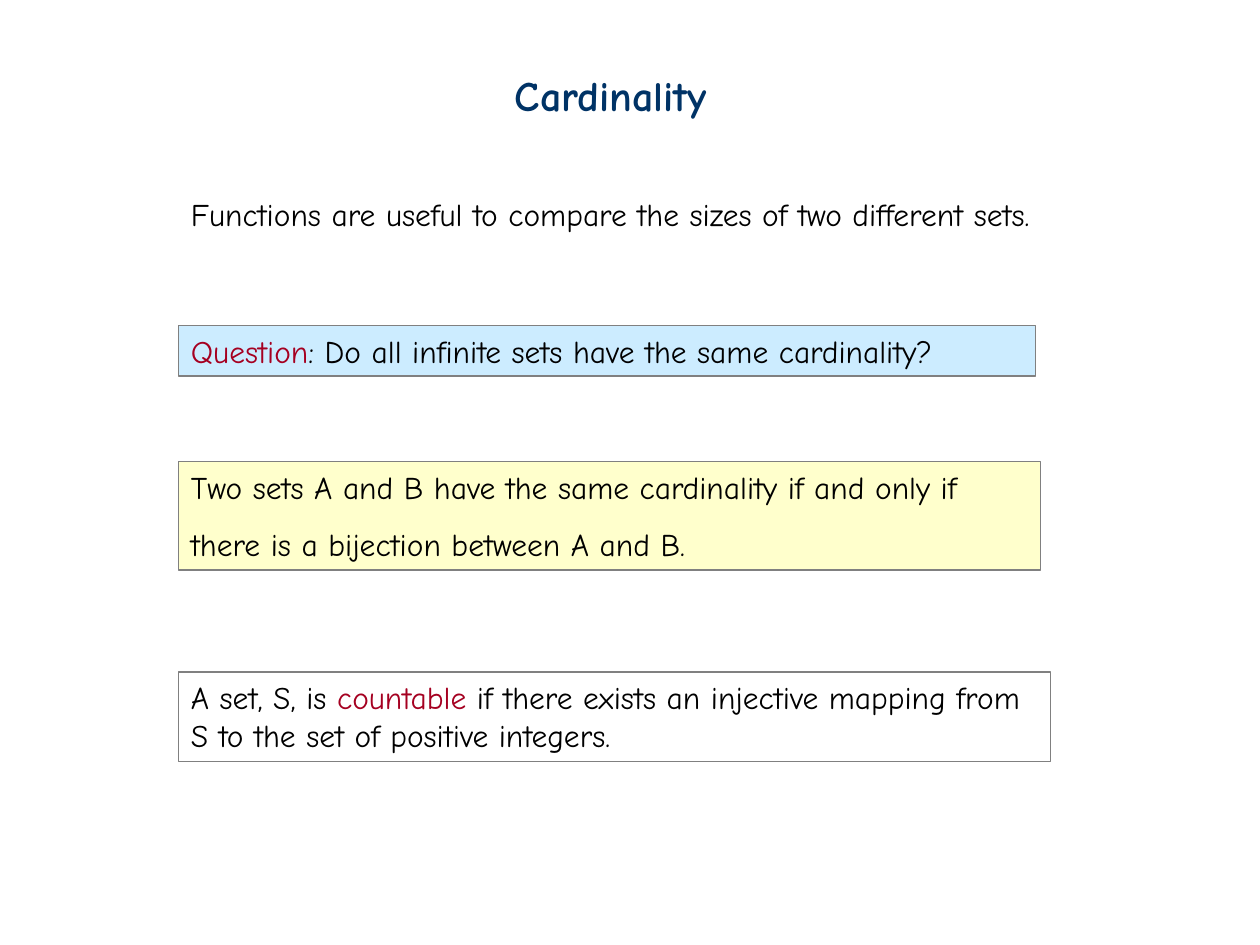
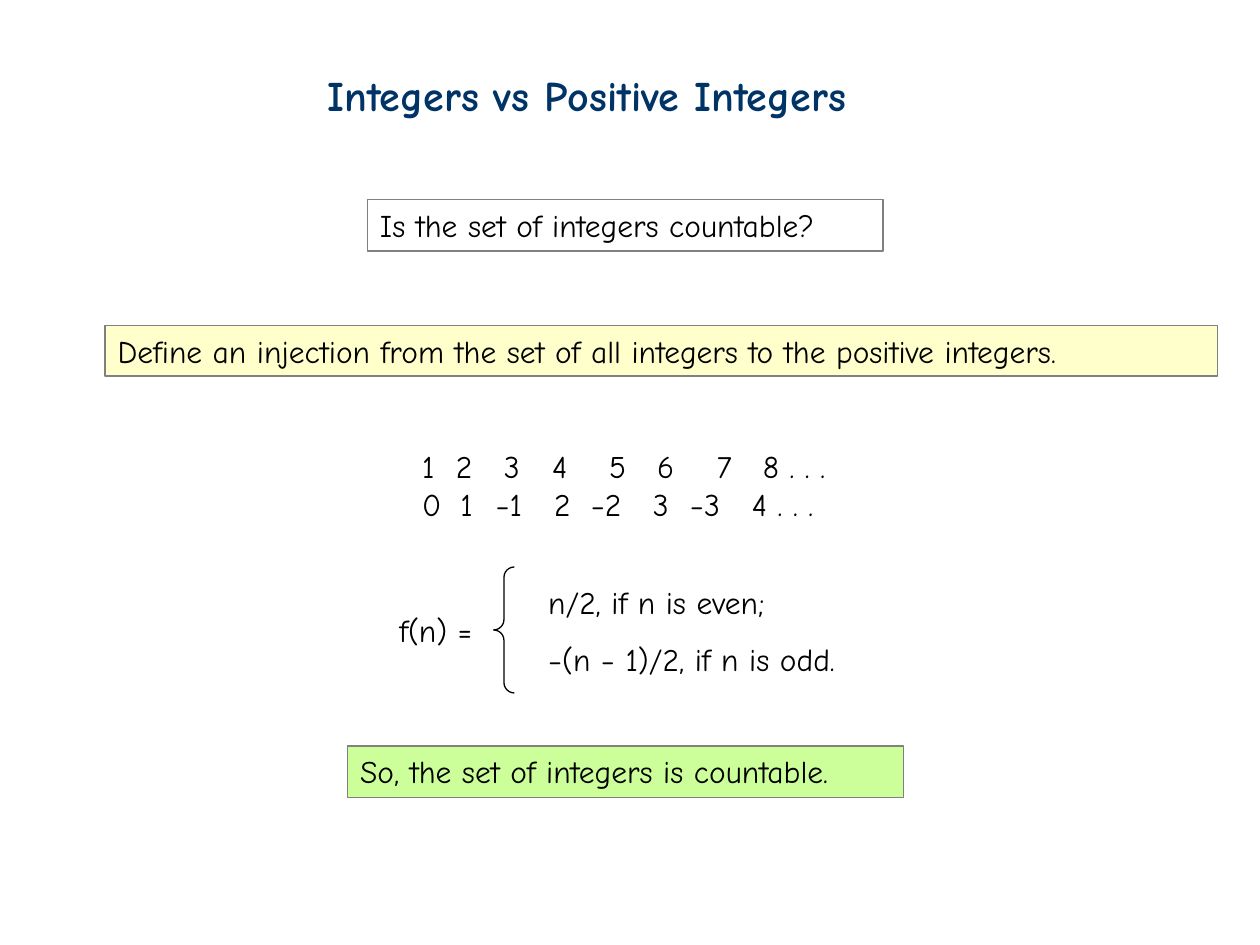
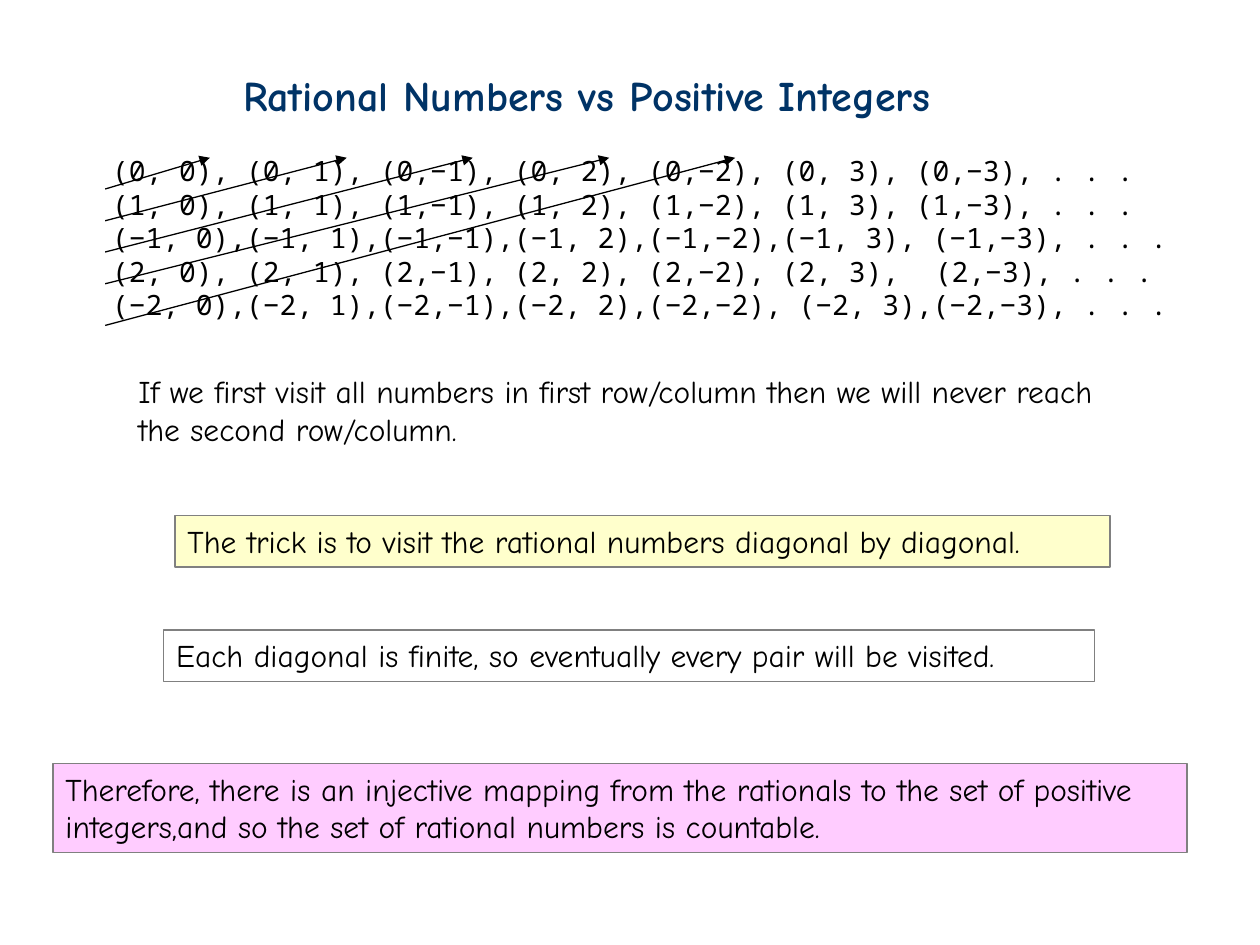
from dataclasses import dataclass
from typing import NamedTuple

from lxml import etree
from pptx import Presentation
from pptx import util as u
from pptx.dml import color as c
from pptx.enum import dml, shapes, text
from pptx.oxml import ns


@dataclass(frozen=True)
class Theme:
    title: str = "003366"
    ink: str = "000000"
    accent: str = "A50021"
    border: str = "808080"
    blue: str = "CCECFF"
    yellow: str = "FFFFCC"
    green: str = "CCFF99"
    pink: str = "FFCCFF"
    white: str = "FFFFFF"
    body_font: str = "Comic Neue"
    grid_font: str = "Noto Sans Mono"
    title_size: int = 24
    body_size: int = 18
    grid_size: int = 16
    line_width: float = 0.75


THEME = Theme()


class Line(NamedTuple):
    text: str
    accent: str = ""
    spacing: float | None = None
    tabs: tuple[float, ...] = ()


@dataclass(frozen=True)
class Box:
    left: float
    top: float
    width: float
    height: float
    lines: tuple[Line, ...]
    framed: bool = False
    fill: str | None = None
    font: str = THEME.body_font
    size: int = THEME.body_size
    color: str = THEME.ink
    bold: bool = False


class Arrow(NamedTuple):
    start_y: float
    end_x: float


@dataclass(frozen=True)
class Page:
    title: str
    title_left: float
    title_width: float
    boxes: tuple[Box, ...]


ARROW_START_X = 2.12
ARROW_END_Y = 3.18
DIAGONALS = (
    Arrow(3.81, 4.23),
    Arrow(4.45, 6.99),
    Arrow(5.08, 9.53),
    Arrow(5.72, 12.28),
    Arrow(6.56, 14.82),
)

CARDINALITY = Page("Cardinality", 10.13, 4.9, (
    Box(3.6, 3.81, 19.61, 1.02, (
        Line("Functions are useful to compare the sizes of two different sets."),)),
    Box(3.6, 6.56, 17.28, 1.02, (
        Line("Question: Do all infinite sets have the same cardinality?", "Question"),),
        framed=True, fill=THEME.blue),
    Box(3.6, 9.31, 17.37, 2.18, (
        Line("Two sets A and B have the same cardinality if and only if"),
        Line("there is a bijection between A and B.", spacing=1.5)),
        framed=True, fill=THEME.yellow),
    Box(3.6, 13.55, 17.58, 1.8, (
        Line("A set, S, is countable if there exists an injective mapping from "
             "S to the set of positive integers.", "countable"),), framed=True),
))

INTEGERS = Page("Integers vs Positive Integers", 6.35, 12.52, (
    Box(2.12, 6.56, 22.43, 1.02, (
        Line("Define an injection from the set of all integers to the positive integers."),),
        framed=True, fill=THEME.yellow),
    Box(7.41, 4.02, 10.39, 1.04, (
        Line("Is the set of integers countable?"),), framed=True),
    Box(8.26, 8.89, 8.99, 1.78, (
        Line("1\t2\t3\t4\t5\t6\t7\t8 . . .",
             tabs=(0.68, 1.65, 2.62, 3.77, 4.74, 5.94, 6.87)),
        Line("0\t1\t−1\t2\t−2\t3\t−3\t4 . . .",
             tabs=(0.77, 1.48, 2.66, 3.4, 4.65, 5.4, 6.65)))),
    Box(10.8, 11.63, 7.19, 2.16, (
        Line("n/2, if n is even;"),
        Line("−(n − 1)/2, if n is odd.", spacing=1.5))),
    Box(7.8, 12.19, 2.13, 1.02, (Line("f(n) ="),)),
    Box(7.01, 15.04, 11.2, 1.04, (
        Line("So, the set of integers is countable."),), framed=True, fill=THEME.green),
))

RATIONALS = Page("Rational Numbers vs Positive Integers", 4.65, 16.21, (
    Box(2.01, 2.97, 22.33, 3.66, (
        Line("(0, 0), (0, 1), (0,−1), (0, 2), (0,−2), (0, 3), (0,−3), . . ."),
        Line("(1, 0), (1, 1), (1,−1), (1, 2), (1,−2), (1, 3), (1,−3), . . ."),
        Line("(−1, 0),(−1, 1),(−1,−1),(−1, 2),(−1,−2),(−1, 3), (−1,−3), . . ."),
        Line("(2, 0), (2, 1), (2,−1), (2, 2), (2,−2), (2, 3),\t(2,−3), . . .", tabs=(16.59,)),
        Line("(−2, 0),(−2, 1),(−2,−1),(−2, 2),(−2,−2), (−2, 3),(−2,−3), . . .")),
        font=THEME.grid_font, size=THEME.grid_size),
    Box(3.53, 10.39, 18.85, 1.04, (
        Line("The trick is to visit the rational numbers diagonal by diagonal."),),
        framed=True, fill=THEME.yellow),
    Box(3.3, 12.7, 18.77, 1.04, (
        Line("Each diagonal is finite, so eventually every pair will be visited."),),
        framed=True, fill=THEME.white),
    Box(1.07, 15.39, 22.86, 1.8, (
        Line("Therefore, there is an injective mapping from the rationals to the set of "
             "positive integers,and so the set of rational numbers is countable."),),
        framed=True, fill=THEME.pink),
    Box(2.54, 7.37, 20.32, 1.8, (
        Line("If we first visit all numbers in first row/column then we will never reach "
             "the second row/column."),)),
))


def rgb(value: str) -> c.RGBColor:
    return c.RGBColor.from_string(value)


def set_line(line, color: str) -> None:
    line.fill.solid()
    line.fill.fore_color.rgb = rgb(color)
    line.width = u.Pt(THEME.line_width)


def set_tabs(paragraph, positions: tuple[float, ...]) -> None:
    properties = paragraph._p.get_or_add_pPr()
    tab_list = etree.SubElement(properties, ns.qn("a:tabLst"))
    for position in positions:
        etree.SubElement(tab_list, ns.qn("a:tab"), pos=str(u.Cm(position)), algn="l")


def write_line(paragraph, line: Line, box: Box) -> None:
    paragraph.alignment = text.PP_ALIGN.LEFT
    if line.tabs:
        set_tabs(paragraph, line.tabs)
    if line.spacing:
        paragraph.line_spacing = line.spacing
    font = paragraph.font
    font.name, font.size, font.bold = box.font, u.Pt(box.size), box.bold
    font.color.rgb = rgb(box.color)
    parts = line.text.partition(line.accent) if line.accent else (line.text,)
    for part in filter(None, parts):
        run = paragraph.add_run()
        run.text = part
        if part == line.accent:
            run.font.color.rgb = rgb(THEME.accent)


def add_box(slide, box: Box) -> None:
    frame = [u.Cm(length) for length in (box.left, box.top, box.width, box.height)]
    if box.framed:
        shape = slide.shapes.add_shape(shapes.MSO_SHAPE.RECTANGLE, *frame)
        shape.shadow.inherit = False
        set_line(shape.line, THEME.border)
    else:
        shape = slide.shapes.add_textbox(*frame)
    if box.fill:
        shape.fill.solid()
        shape.fill.fore_color.rgb = rgb(box.fill)
    else:
        shape.fill.background()
    text_frame = shape.text_frame
    text_frame.word_wrap = True
    text_frame.auto_size = text.MSO_AUTO_SIZE.SHAPE_TO_FIT_TEXT
    text_frame.vertical_anchor = text.MSO_ANCHOR.TOP
    for index, line in enumerate(box.lines):
        paragraph = text_frame.add_paragraph() if index else text_frame.paragraphs[0]
        write_line(paragraph, line, box)


def add_brace(slide) -> None:
    brace = slide.shapes.add_shape(
        shapes.MSO_SHAPE.LEFT_BRACE, u.Cm(9.95), u.Cm(11.43), u.Cm(0.42), u.Cm(2.54))
    brace.shadow.inherit = False
    brace.adjustments[0] = 0.5
    brace.fill.background()
    set_line(brace.line, THEME.ink)


def add_arrow(slide, arrow: Arrow) -> None:
    connector = slide.shapes.add_connector(
        shapes.MSO_CONNECTOR.STRAIGHT, u.Cm(ARROW_START_X), u.Cm(arrow.start_y),
        u.Cm(arrow.end_x), u.Cm(ARROW_END_Y))
    set_line(connector.line, THEME.ink)
    connector.line.dash_style = dml.MSO_LINE.SOLID
    etree.SubElement(connector.line._ln, ns.qn("a:tailEnd"), type="triangle")
    etree.SubElement(connector._element.spPr, ns.qn("a:effectLst"))


def add_page(presentation, page: Page):
    slide = presentation.slides.add_slide(presentation.slide_layouts[6])
    title = Box(page.title_left, 1.27, page.title_width, 1.27, (Line(page.title),),
                size=THEME.title_size, color=THEME.title, bold=True)
    for box in (title, *page.boxes):
        add_box(slide, box)
    return slide


def main() -> None:
    presentation = Presentation()
    presentation.slide_width, presentation.slide_height = u.Cm(25.4), u.Cm(19.05)
    add_page(presentation, CARDINALITY)
    add_brace(add_page(presentation, INTEGERS))
    rationals = add_page(presentation, RATIONALS)
    for arrow in DIAGONALS:
        add_arrow(rationals, arrow)
    presentation.save("out.pptx")


if __name__ == "__main__":
    main()
